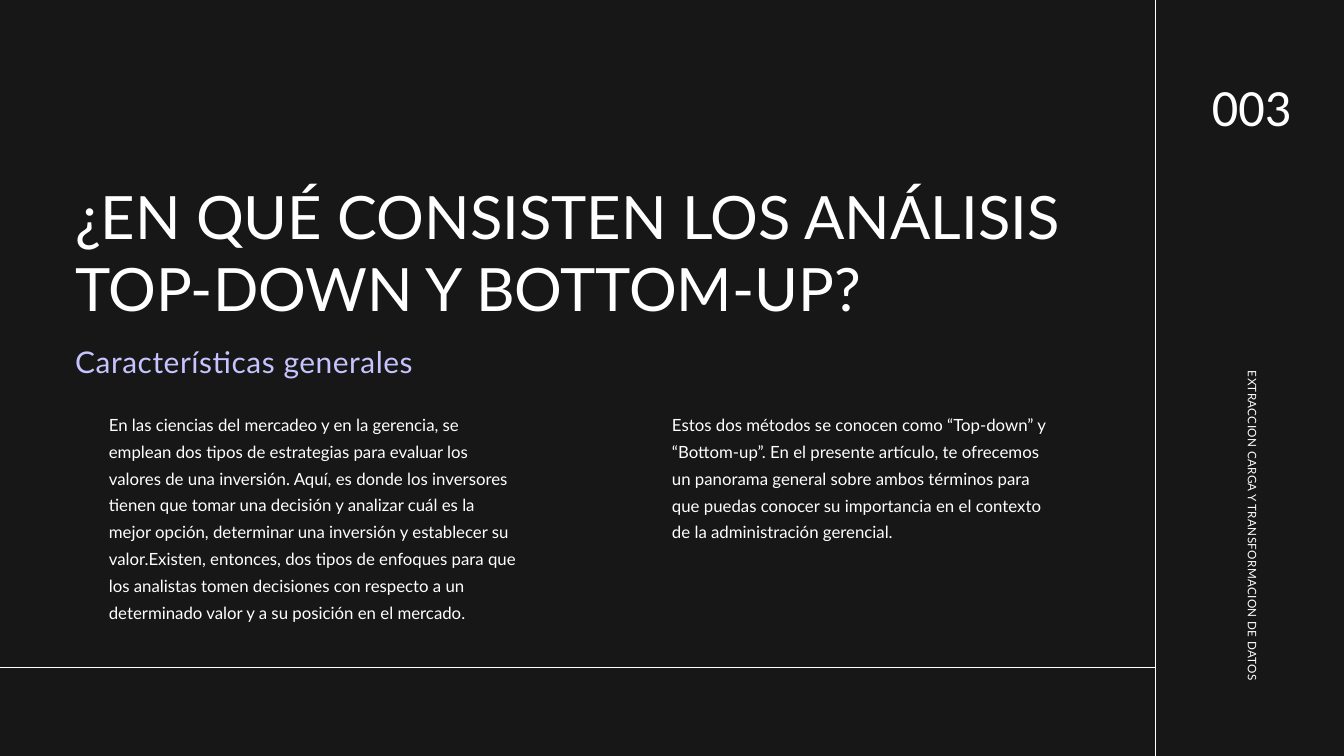
from lxml.etree import SubElement
from pptx import Presentation
from pptx.dml.color import RGBColor
from pptx.enum.shapes import MSO_CONNECTOR
from pptx.enum.text import MSO_AUTO_SIZE, PP_ALIGN
from pptx.oxml.ns import qn
from pptx.util import Pt

WIDTH, HEIGHT = 1440, 810
SIDEBAR_X, FOOTER_Y = 1238, 715.3
MARGIN_X = 80.64
COLUMN_Y = 437
COLORS = {"background": "171717", "text": "FFFFFF", "accent": "C6C3FF"}

FRAME_FORMAT = {
    "margin_left": 0, "margin_top": 0, "margin_right": 0, "margin_bottom": 0,
    "word_wrap": True, "auto_size": MSO_AUTO_SIZE.SHAPE_TO_FIT_TEXT,
}


def color(name):
    return RGBColor.from_string(COLORS[name])


def set_attributes(target, values):
    for name, value in values.items():
        setattr(target, name, value)


def add_text(slide, text, box, size, line_spacing, font="Lato", fill="text",
             align=PP_ALIGN.LEFT, tracking=0, rotation=0):
    """Add a one-paragraph text box; tracking is in points."""
    shape = slide.shapes.add_textbox(*(Pt(length) for length in box))
    shape.rotation = rotation
    set_attributes(shape.text_frame, FRAME_FORMAT)
    paragraph = shape.text_frame.paragraphs[0]
    set_attributes(paragraph, {"alignment": align, "line_spacing": Pt(line_spacing)})
    run = paragraph.add_run()
    run.text = text
    set_attributes(run.font, {"name": font, "size": Pt(size)})
    run.font.color.rgb = color(fill)
    if tracking:
        run.font._element.set("spc", str(round(tracking * 100)))


def add_rule(slide, start_x, start_y, end_x, end_y):
    """Add a thin dividing line without a shadow."""
    ends = (Pt(length) for length in (start_x, start_y, end_x, end_y))
    connector = slide.shapes.add_connector(MSO_CONNECTOR.STRAIGHT, *ends)
    connector.line.color.rgb = color("text")
    connector.line.width = Pt(0.75)
    SubElement(connector._element.spPr, qn("a:effectLst"))


def main():
    presentation = Presentation()
    set_attributes(presentation, {"slide_width": Pt(WIDTH), "slide_height": Pt(HEIGHT)})
    slide = presentation.slides.add_slide(presentation.slide_layouts[6])
    slide.background.fill.solid()
    slide.background.fill.fore_color.rgb = color("background")

    # Heading
    add_text(slide, "¿EN QUÉ CONSISTEN LOS ANÁLISIS TOP-DOWN Y BOTTOM-UP?",
             (MARGIN_X, 193, 1080, 154), 64, 76.8)
    add_text(slide, "Características generales",
             (MARGIN_X, 368, 916.6, 38.9), 32, 38.4, fill="accent", tracking=0.6)

    # Body columns: left, width, height, text
    columns = [
        (116.64, 437, 225.4,
         "En las ciencias del mercadeo y en la gerencia, se emplean dos tipos de "
         "estrategias para evaluar los valores de una inversión. Aquí, es donde los "
         "inversores tienen que tomar una decisión y analizar cuál es la mejor opción, "
         "determinar una inversión y establecer su valor.Existen, entonces, dos tipos "
         "de enfoques para que los analistas tomen decisiones con respecto a un "
         "determinado valor y a su posición en el mercado."),
        (720, 401, 140.4,
         "Estos dos métodos se conocen como “Top-down” y “Bottom-up”. En el presente "
         "artículo, te ofrecemos un panorama general sobre ambos términos para que "
         "puedas conocer su importancia en el contexto de la administración gerencial."),
    ]
    for left, width, height, text in columns:
        add_text(slide, text, (left, COLUMN_Y, width, height), 18, 28.8)

    # Dividing lines
    add_rule(slide, SIDEBAR_X, 0, SIDEBAR_X, HEIGHT)
    add_rule(slide, 0, FOOTER_Y, SIDEBAR_X, FOOTER_Y)

    # Sidebar: page number and vertical label
    add_text(slide, "003", (1296.7, 85, 88.6, 62.6), 56, 61.6,
             font="Calibri", align=PP_ALIGN.CENTER)
    add_text(slide, "EXTRACCION CARGA Y TRANSFORMACION DE DATOS",
             (1139.8, 517, 406.8, 17.3), 12.5, 17.5,
             align=PP_ALIGN.RIGHT, tracking=0.4, rotation=90)

    presentation.save("out.pptx")


if __name__ == "__main__":
    main()
